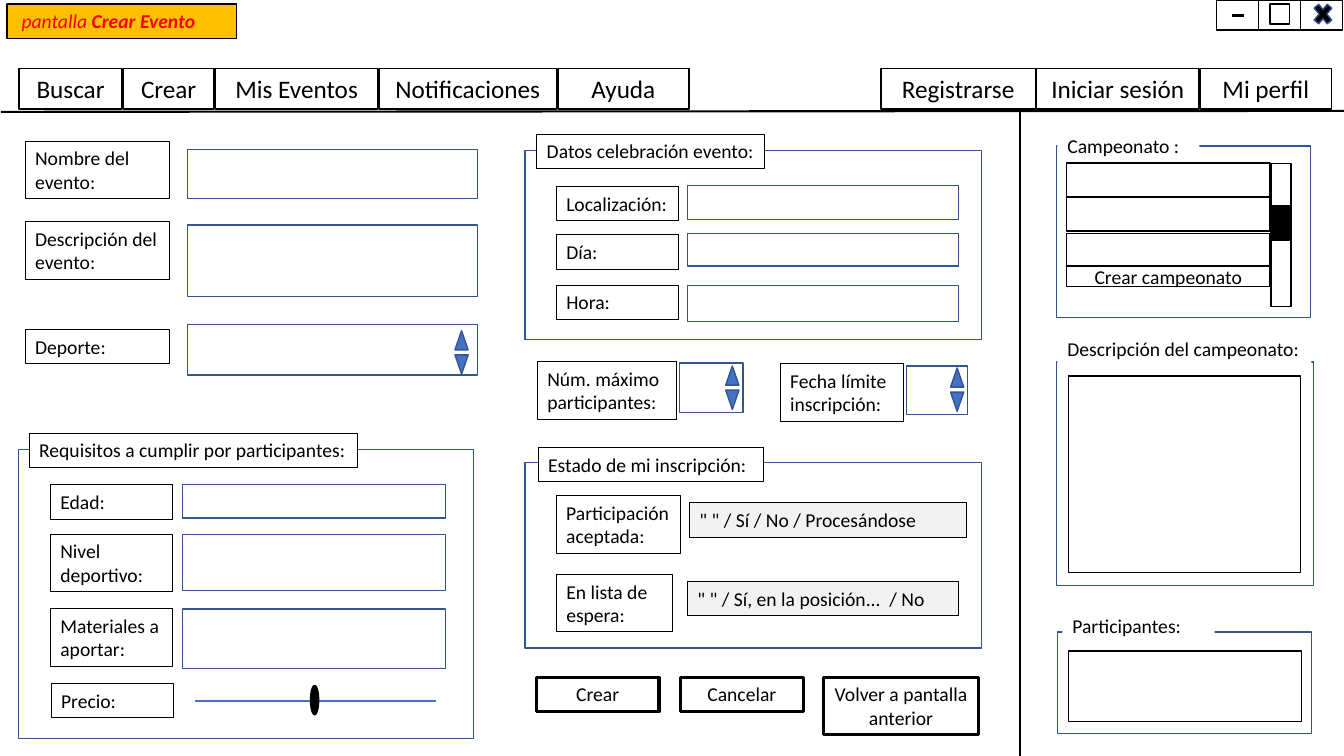
import pptx
import pptx.util
import pptx.dml.color
import pptx.enum.shapes
import pptx.enum.text
import pptx.oxml.ns
import lxml.etree

Pt = pptx.util.Pt
SHAPES = pptx.enum.shapes.MSO_SHAPE
ALIGN = pptx.enum.text.PP_ALIGN
COLORS = {"black": "000000", "white": "FFFFFF", "navy": "325491", "blue": "4472C4",
          "grey": "F2F2F2", "amber": "FFC000", "red": "FF0000"}
ONE_LINE, TWO_LINES = 24.5, 41

# All places are left, top, width, height in points.
PANELS = [
    (754.6, 258.5, 183.6, 159.8), (375.1, 107.3, 326.2, 135.4), (13, 321.1, 325.4, 206.6),
    (755.3, 451.4, 181.4, 72.7), (754.6, 104.4, 181.4, 122.4), (375.1, 330.5, 326.2, 132.5),
]
FRAMED_TITLES = [
    ("Datos celebración evento:", (383.4, 95.8, 162.4, ONE_LINE)),
    ("Requisitos a cumplir por participantes:", (20.9, 309.6, 234.7, ONE_LINE)),
    ("Estado de mi inscripción:", (384.5, 319.7, 160.6, ONE_LINE)),
]
PLAIN_TITLES = [
    ("Descripción del campeonato:", (755.3, 236.9, 181.4, ONE_LINE)),
    ("Participantes:", (758.9, 434.9, 108.7, ONE_LINE)),
    ("Campeonato :", (755.3, 92.2, 101.5, ONE_LINE)),
]
TAB_TOP, TAB_HEIGHT, TAB_GAP = 49, 28.8, 1
TAB_BARS = [
    (13.7, [("Buscar", 73.4), ("Crear", 64.8), ("Mis Eventos", 115.9),
            ("Notificaciones", 126.7), ("Ayuda", 93.6)]),
    (629.3, [("Registrarse", 110.2), ("Iniciar sesión", 115.9), ("Mi perfil", 93.6)]),
]
# Label left and width, field left and width,
# then rows of label, label top and height, field top and height.
FORMS = [
    (18, 103.4, 133.9, 207.4, [
        ("Nombre del evento:", 100.8, TWO_LINES, 106.6, 35.3),
        ("Descripción del evento:", 158.4, TWO_LINES, 160.6, 51.1),
        ("Deporte:", 235.4, ONE_LINE, 231.8, 36)]),
    (397.4, 87.1, 491, 193.7, [
        ("Localización:", 133.2, ONE_LINE, 132.5, 24.5),
        ("Día:", 167.8, ONE_LINE, 167, 23),
        ("Hora:", 203.8, ONE_LINE, 203.8, 25.9)]),
    (36, 87.1, 130.3, 187.9, [
        ("Edad:", 346.3, ONE_LINE, 346.3, 23.8),
        ("Nivel deportivo:", 381.6, TWO_LINES, 381.6, 40.3),
        ("Materiales a aportar:", 434.9, TWO_LINES, 434.9, 42.5)]),
]
LABELS = [
    ("Precio:", (36.5, 488.2, 87.1, ONE_LINE)),
    ("Núm. máximo participantes:", (383.8, 258.5, 99.4, TWO_LINES)),
    ("Fecha límite inscripción:", (557.3, 259.9, 87.8, TWO_LINES)),
    ("Participación aceptada:", (397.4, 354.2, 88.6, TWO_LINES)),
    ("En lista de espera:", (397.4, 410.4, 82.8, TWO_LINES)),
]
STATUSES = [
    ('" " / Sí / No / Procesándose', (492.5, 359.3, 198, ONE_LINE)),
    ('" " / Sí, en la posición...  / No', (491, 415.4, 193.7, ONE_LINE)),
]
BUTTONS = [
    ("Crear", (383, 483.8, 87.8, ONE_LINE)),
    ("Cancelar", (486, 483.8, 87.8, ONE_LINE)),
    ("Volver a pantalla anterior", (588.2, 483.8, 110.9, TWO_LINES)),
]
STEPPER_FIELDS = [(485.3, 259.2, 45.4, 35.3), (647.3, 261.4, 43.9, 34.6)]
STEPPER_ARROWS = [(518.4, 261.4), (679, 262.8), (325, 236.2)]
ARROW_WIDTH, ARROW_HEIGHT, ARROW_STEP = 9.4, 13.7, 17.3
DETAIL_BOXES = [(763.2, 268.6, 165.6, 140.4), (763.2, 465.1, 166.3, 50.4)]
LIST_LEFT, LIST_WIDTH = 761.8, 145.4
LIST_ROWS = [(116.6, 23.8, ""), (141.1, 23.8, ""), (167, 23.8, ""),
             (190.1, 14.4, "Crear campeonato")]
SCROLL_BAR, SCROLL_THUMB = (907.9, 116.6, 14.4, 102.2), (908.6, 146.9, 13, 24.5)
WINDOW_LEFT, WINDOW_STEP, WINDOW_HEIGHT = 869, 30, 21.6
RULES = [  # start, end, colour, width
    ((0.7, 79.9), (960, 79.2), "black", 1.5), ((728.6, 79.2), (728.6, 540), "black", 1.5),
    ((879.8, 10.8), (888.5, 10.8), "black", 2.25), ((139, 500.4), (311.8, 500.4), "blue", 1.5),
]
BANNER = [("pantalla", False), (" Crear Evento", True)]


def rgb(name):
    return pptx.dml.color.RGBColor.from_string(COLORS[name])


def add_box(slide, place, fill=None, line="black", width=1, preset=SHAPES.RECTANGLE):
    box = slide.shapes.add_shape(preset, *[Pt(length) for length in place])
    box.shadow.inherit = False
    if fill:
        box.fill.solid()
        box.fill.fore_color.rgb = rgb(fill)
    else:
        box.fill.background()
    if line:
        box.line.color.rgb = rgb(line)
        box.line.width = Pt(width)
    else:
        box.line.fill.background()
    return box


def write(box, text, size=14, align=ALIGN.LEFT, grow=True):
    """Put one paragraph in the box and return it; grow fits the box to its text."""
    frame = box.text_frame
    frame.word_wrap = True
    if align == ALIGN.LEFT:
        frame.margin_right = Pt(3.6)
    if grow:
        frame.auto_size = pptx.enum.text.MSO_AUTO_SIZE.SHAPE_TO_FIT_TEXT
        frame.vertical_anchor = pptx.enum.text.MSO_ANCHOR.TOP
    else:
        frame.vertical_anchor = pptx.enum.text.MSO_ANCHOR.MIDDLE
    para = frame.paragraphs[0]
    if text:
        para.text = text
    para.alignment = align
    para.font.name = "Calibri"
    para.font.size = Pt(size)
    para.font.color.rgb = rgb("black")
    return para


def add_rule(slide, start, end, color, width):
    rule = slide.shapes.add_connector(pptx.enum.shapes.MSO_CONNECTOR.STRAIGHT,
                                      *[Pt(length) for length in start + end])
    rule.line.color.rgb = rgb(color)
    rule.line.width = Pt(width)
    lxml.etree.SubElement(rule._element.spPr, pptx.oxml.ns.qn("a:effectLst"))


def add_forms(slide):
    for label_left, label_width, field_left, field_width, rows in FORMS:
        for text, label_top, label_height, field_top, field_height in rows:
            write(add_box(slide, (label_left, label_top, label_width, label_height),
                          width=0.75), text)
            add_box(slide, (field_left, field_top, field_width, field_height), line="navy")


def add_tabs(slide):
    for left, tabs in TAB_BARS:
        for text, width in tabs:
            write(add_box(slide, (left, TAB_TOP, width, TAB_HEIGHT), "white"),
                  text, 18, ALIGN.CENTER)
            left += width + TAB_GAP


def add_window_controls(slide):
    for index in range(3):
        add_box(slide, (WINDOW_LEFT + index * WINDOW_STEP, 0, WINDOW_STEP, WINDOW_HEIGHT), "white")
    add_box(slide, (907.2, 2.9, 13.7, 14.4))
    add_box(slide, (936, -0.7, 18, 21.6), "black", "navy", preset=SHAPES.MATH_MULTIPLY)


def add_steppers(slide):
    for place in STEPPER_FIELDS:
        add_box(slide, place, "white", "navy")
    for left, top in STEPPER_ARROWS:
        for index in range(2):
            arrow = add_box(slide, (left, top + index * ARROW_STEP, ARROW_WIDTH, ARROW_HEIGHT),
                            "blue", "navy", preset=SHAPES.ISOSCELES_TRIANGLE)
            arrow.rotation = 180 * index


def add_championship_list(slide):
    add_box(slide, SCROLL_BAR, "white")
    add_box(slide, SCROLL_THUMB, "black")
    for top, height, text in LIST_ROWS:
        row = add_box(slide, (LIST_LEFT, top, LIST_WIDTH, height), "white")
        if text:
            write(row, text, align=ALIGN.CENTER, grow=False)


def add_banner(slide):
    box = add_box(slide, (5, 2.9, 164.2, ONE_LINE), "amber", width=0.75)
    box.text_frame.margin_left = Pt(10.4)
    para = write(box, "")
    para.font.italic = True
    para.font.color.rgb = rgb("red")
    for text, bold in BANNER:
        span = para.add_run()
        span.text = text
        span.font.bold = bold


def main():
    deck = pptx.Presentation()
    deck.slide_width, deck.slide_height = Pt(960), Pt(540)
    slide = deck.slides.add_slide(deck.slide_layouts[6])
    for place in PANELS:
        add_box(slide, place, line="navy")
    add_tabs(slide)
    add_window_controls(slide)
    for items, fill, line, width, align in [
            (FRAMED_TITLES, "white", "black", 0.75, ALIGN.LEFT),
            (PLAIN_TITLES, "white", None, 0, ALIGN.LEFT),
            (LABELS, None, "black", 0.75, ALIGN.LEFT),
            (STATUSES, "grey", "black", 0.75, ALIGN.LEFT),
            (BUTTONS, None, "black", 2.25, ALIGN.CENTER)]:
        for text, place in items:
            write(add_box(slide, place, fill, line, width), text, align=align)
    add_forms(slide)
    add_steppers(slide)
    for place in DETAIL_BOXES:
        add_box(slide, place, "white")
    add_championship_list(slide)
    for rule in RULES:
        add_rule(slide, *rule)
    add_box(slide, (221.8, 489.6, 5.8, 20.9), "black", preset=SHAPES.OVAL)
    add_banner(slide)
    deck.save("out.pptx")


if __name__ == "__main__":
    main()
